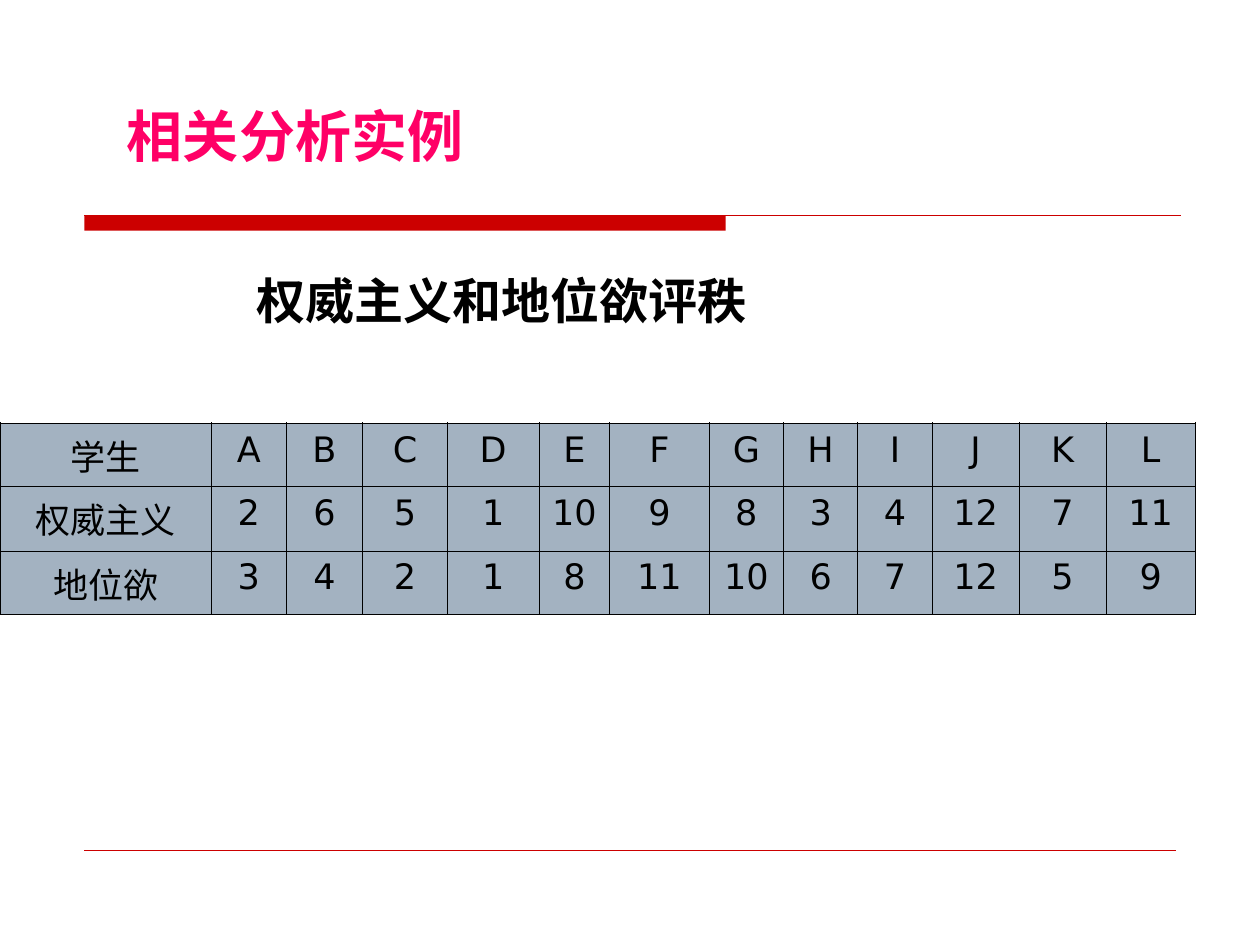
import pptx
import pptx.dml.color
import pptx.enum.shapes
import pptx.enum.text
import pptx.oxml
import pptx.oxml.ns
import pptx.util
from pptx.util import Inches

RED = "CC0000"
BLACK = "000000"


def rgb(value):
    return pptx.dml.color.RGBColor.from_string(value)


class SlideBuilder:
    table_font = "DejaVu Sans"
    heading_font = "Times New Roman"
    cell_fill = "A3B2C1"
    inner_border = 0.45
    outer_border = 1.08

    def __init__(self, slide):
        self.s = slide

    def style(self, p, name, size, color, bold=False):
        p.font.name = name
        p.font.size = pptx.util.Pt(size)
        p.font.bold = bold
        p.font.color.rgb = rgb(color)

    def bar(self, x, y, w, h, color):
        sp = self.s.shapes.add_shape(
            pptx.enum.shapes.MSO_SHAPE.RECTANGLE,
            Inches(x), Inches(y), Inches(w), Inches(h))
        sp.shadow.inherit = False
        sp.fill.solid()
        sp.fill.fore_color.rgb = rgb(color)
        sp.line.fill.background()

    def rule(self, x1, x2, y, color, width):
        sp = self.s.shapes.add_connector(
            pptx.enum.shapes.MSO_CONNECTOR.STRAIGHT,
            Inches(x1), Inches(y), Inches(x2), Inches(y))
        sp.line.color.rgb = rgb(color)
        sp.line.width = pptx.util.Pt(width)
        pptx.oxml.ns.qn("a:effectLst")
        sp._element.spPr.append(pptx.oxml.parse_xml(
            f'<a:effectLst {pptx.oxml.ns.nsdecls("a")}/>'))

    def heading(self, text, x, y, w, h, size, color):
        sp = self.s.shapes.add_textbox(Inches(x), Inches(y), Inches(w), Inches(h))
        tf = sp.text_frame
        tf.word_wrap = False
        tf.auto_size = pptx.enum.text.MSO_AUTO_SIZE.SHAPE_TO_FIT_TEXT
        p = tf.paragraphs[0]
        p.text = text
        self.style(p, self.heading_font, size, color, bold=True)

    def border(self, cell, side, width):
        cell._tc.get_or_add_tcPr().append(pptx.oxml.parse_xml(
            f'<a:ln{side} {pptx.oxml.ns.nsdecls("a")} w="{pptx.util.Pt(width)}">'
            f'<a:solidFill><a:srgbClr val="{BLACK}"/></a:solidFill></a:ln{side}>'))

    def table(self, rows, x, y, widths, heights):
        table = self.s.shapes.add_table(
            len(rows), len(widths), Inches(x), Inches(y),
            Inches(sum(widths)), Inches(sum(heights))).table
        table.first_row = False
        table.horz_banding = False
        for column, width in zip(table.columns, widths):
            column.width = Inches(width)
        for row, height in zip(table.rows, heights):
            row.height = Inches(height)
        for i, values in enumerate(rows):
            for j, value in enumerate(values):
                cell = table.cell(i, j)
                edges = {"L": j == 0, "R": j == len(widths) - 1,
                         "T": i == 0, "B": i == len(rows) - 1}
                for side, outer in edges.items():
                    self.border(cell, side, self.outer_border if outer else self.inner_border)
                cell.fill.solid()
                cell.fill.fore_color.rgb = rgb(self.cell_fill)
                p = cell.text_frame.paragraphs[0]
                p.text = str(value)
                p.alignment = pptx.enum.text.PP_ALIGN.CENTER
                self.style(p, self.table_font, 20, BLACK)


def main():
    prs = pptx.Presentation()
    prs.slide_width = Inches(10)
    prs.slide_height = Inches(7.5)
    b = SlideBuilder(prs.slides.add_slide(prs.slide_layouts[6]))

    b.bar(0.67, 1.71, 5.09, 0.12, RED)
    b.rule(0.67, 9.37, 1.71, RED, 0.75)
    b.rule(0.67, 9.33, 6.75, RED, 0.25)

    ranks = [
        ["学生", *"ABCDEFGHIJKL"],
        ["权威主义", 2, 6, 5, 1, 10, 9, 8, 3, 4, 12, 7, 11],
        ["地位欲", 3, 4, 2, 1, 8, 11, 10, 6, 7, 12, 5, 9],
    ]
    widths = [1.68, 0.59, 0.61, 0.67, 0.73, 0.56, 0.79,
              0.59, 0.59, 0.59, 0.69, 0.69, 0.71]
    b.table(ranks, 0, 3.36, widths, [0.44, 0.51, 0.44])

    b.heading("权威主义和地位欲评秩", 1.94, 2.1, 4.08, 0.57, 28, BLACK)
    b.heading("相关分析实例", 0.91, 0.76, 2.87, 0.64, 32, "FF0066")
    prs.save("out.pptx")


if __name__ == "__main__":
    main()
